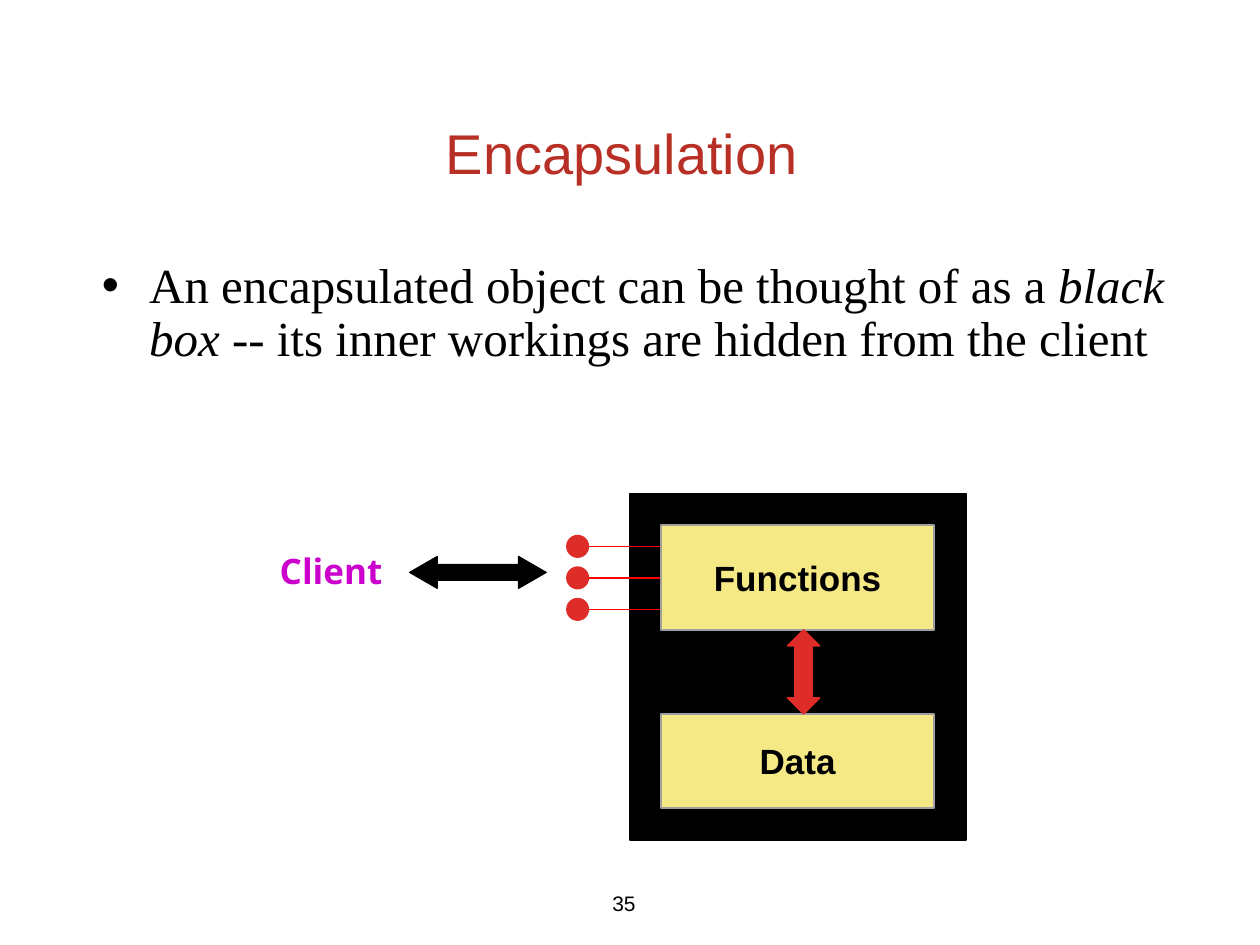
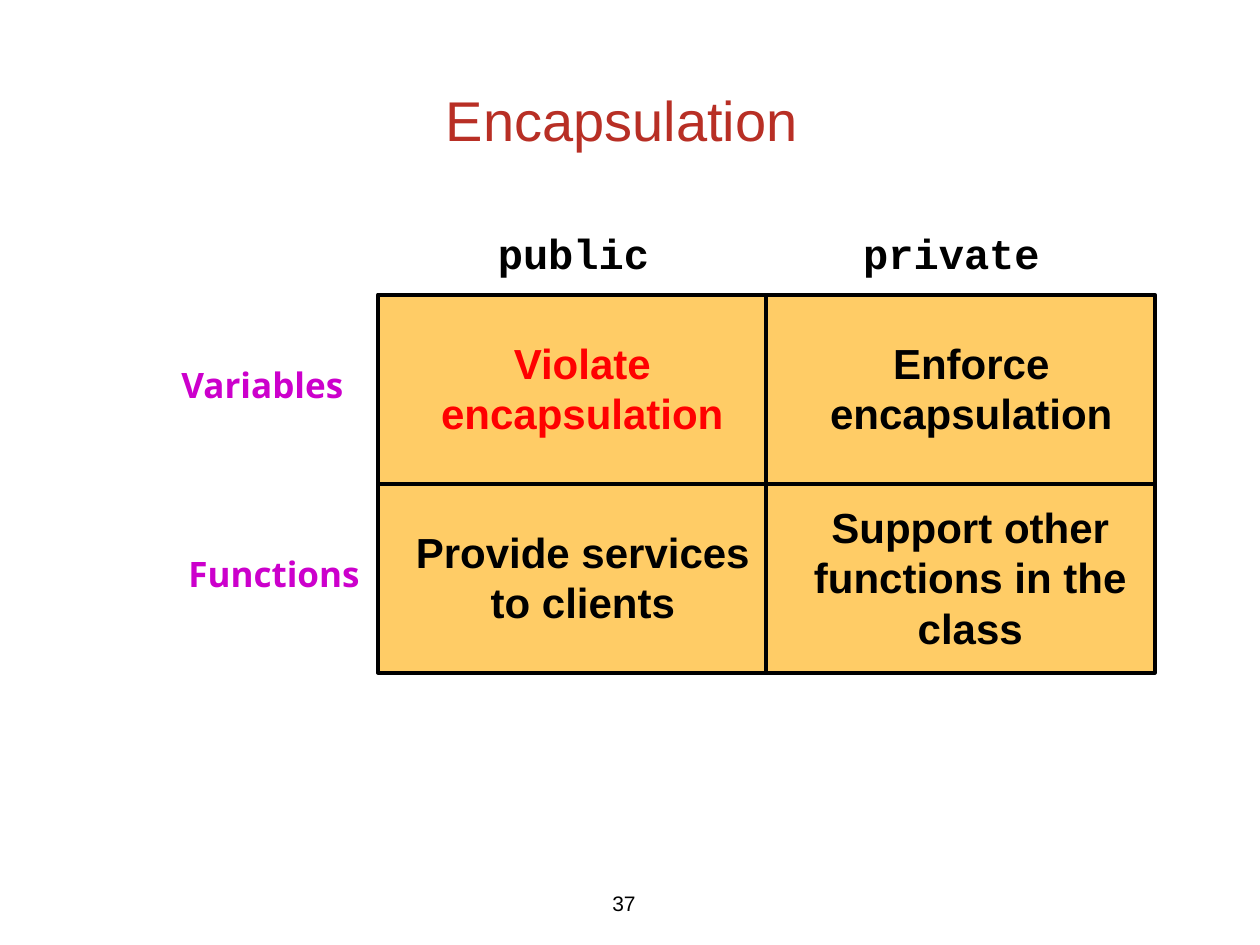
"""Build two slides on encapsulation: a black box diagram and a visibility grid."""
from lxml.etree import SubElement
from pptx import Presentation
from pptx.dml.color import RGBColor
from pptx.enum.shapes import MSO_CONNECTOR, MSO_SHAPE
from pptx.enum.text import MSO_ANCHOR, MSO_AUTO_SIZE, PP_ALIGN
from pptx.oxml.ns import qn
from pptx.util import Cm, Pt

COLORS = {
    "title": "B82F25", "black": "000000", "red": "FF0000", "signal": "DE2C28",
    "block": "F5E985", "block edge": "9F9F9F", "label": "CC00CC", "cell": "FFCC66",
}

STYLES = {
    "title": {"name": "Arial", "size": Pt(32), "color": "title"},
    "number": {"name": "Arial", "size": Pt(12), "color": "black"},
    "body": {"name": "Times New Roman", "size": Pt(28), "color": "black"},
    "label": {"name": "Open Sans", "size": Pt(20), "bold": True, "color": "label"},
    "block": {"name": "Arial", "size": Pt(20), "bold": True, "color": "black"},
    "header": {"name": "Courier New", "size": Pt(24), "bold": True, "color": "black"},
    "cell": {"name": "Arial", "size": Pt(24), "bold": True, "color": "black"},
    "warning": {"name": "Arial", "size": Pt(24), "bold": True, "color": "red"},
}

TITLE = "Encapsulation "
STATEMENT = [
    ("An encapsulated object can be thought of as a ", False),
    ("black box", True),
    (" -- its inner workings are hidden from the client", False),
]
STATEMENT_PLACE = (1.8, 5.13, 23.06, 4.75)

BLACK_BOX = (12.7, 9.95, 6.77, 6.99)
BLOCKS = [("Functions", (13.33, 10.58, 5.5, 2.12)), ("Data", (13.33, 14.39, 5.5, 1.9))]
CLIENT = ("Client", (5.28, 10.95, 2.79, 1.12))
ARROWS = [
    (MSO_SHAPE.UP_DOWN_ARROW, (15.88, 12.7, 0.64, 1.69), 0.533, "signal", 1),
    (MSO_SHAPE.LEFT_RIGHT_ARROW, (8.26, 11.22, 2.75, 0.64), 0.867, "black", 0.75),
]
PORT_COUNT, PORT_X, PORT_Y, PORT_STEP, PORT_SIZE = 3, 11.43, 10.8, 0.635, 0.43

GRID_X, GRID_Y, CELL_WIDTH, CELL_HEIGHT = 7.62, 5.94, 7.83, 3.81
HEADERS = [("public", (9.78, 4.47, 3.56, 1.27)), ("private", (17.15, 4.47, 4.06, 1.27))]
ROW_LABELS = [("Variables", (3.18, 7.21, 4.22, 1.12)), ("Functions", (3.33, 11.02, 4.39, 1.12))]
CELLS = [
    [("Violate\nencapsulation", (8.64, 6.68, 6.2, 2.29), "warning"),
     ("Enforce\nencapsulation", (16.48, 6.68, 6.2, 2.29), "cell")],
    [("Provide services\nto clients", (8.13, 10.49, 7.24, 2.29), "cell"),
     ("Support other\nfunctions in the\nclass", (16.13, 9.98, 6.86, 3.33), "cell")],
]


def rgb(color):
    return RGBColor.from_string(COLORS[color])


def lengths(place):
    return [Cm(value) for value in place]


def set_attributes(target, values):
    for name, value in values.items():
        setattr(target, name, value)


def move(shape, place):
    set_attributes(shape, dict(zip(("left", "top", "width", "height"), lengths(place))))


def style_run(run, style):
    for name, value in STYLES[style].items():
        if name == "color":
            run.font.color.rgb = rgb(value)
        else:
            setattr(run.font, name, value)


def write_text(shape, text, style, anchor=MSO_ANCHOR.MIDDLE, wrap=False):
    frame = shape.text_frame
    frame.text = text
    set_attributes(frame, {"word_wrap": wrap, "vertical_anchor": anchor,
                           "auto_size": MSO_AUTO_SIZE.NONE})
    for paragraph in frame.paragraphs:
        paragraph.alignment = PP_ALIGN.CENTER
        for run in paragraph.runs:
            style_run(run, style)


def add_text(slide, text, place, style, anchor=MSO_ANCHOR.MIDDLE):
    write_text(slide.shapes.add_textbox(*lengths(place)), text, style, anchor)


def add_shape(slide, kind, place, fill, edge, width=1):
    shape = slide.shapes.add_shape(kind, *lengths(place))
    shape.shadow.inherit = False
    shape.fill.solid()
    shape.fill.fore_color.rgb = rgb(fill)
    shape.line.color.rgb = rgb(edge)
    shape.line.width = Pt(width)
    return shape


def add_line(slide, start, end, color):
    line = slide.shapes.add_connector(MSO_CONNECTOR.STRAIGHT, *lengths(start + end))
    line.line.color.rgb = rgb(color)
    line.line.width = Pt(1)
    SubElement(line._element.spPr, qn("a:effectLst"))


def add_slide(presentation, layout_index, title_top, number):
    slide = presentation.slides.add_slide(presentation.slide_layouts[layout_index])
    move(slide.shapes.title, (1.9, title_top, 21.59, 1.9))
    write_text(slide.shapes.title, TITLE, "title", wrap=True)
    add_text(slide, number, (11.63, 17.78, 1.9, 0.84), "number")
    return slide


def add_statement(slide):
    body = slide.placeholders[1]
    move(body, STATEMENT_PLACE)
    set_attributes(body.text_frame, {"word_wrap": True, "auto_size": MSO_AUTO_SIZE.NONE})
    paragraph = body.text_frame.paragraphs[0]
    set_attributes(paragraph, {"line_spacing": 0.9, "space_before": Pt(0)})
    for text, italic in STATEMENT:
        run = paragraph.add_run()
        run.text = text
        run.font.italic = italic
        style_run(run, "body")


def build_black_box(presentation):
    slide = add_slide(presentation, 1, 2.11, "35")
    add_statement(slide)
    add_shape(slide, MSO_SHAPE.RECTANGLE, BLACK_BOX, "black", "black")
    for index in range(PORT_COUNT):
        top = PORT_Y + index * PORT_STEP
        middle = top + PORT_SIZE / 2
        add_line(slide, (BLOCKS[0][1][0], middle), (PORT_X + PORT_SIZE / 2, middle), "red")
        add_shape(slide, MSO_SHAPE.OVAL, (PORT_X, top, PORT_SIZE, PORT_SIZE), "signal", "signal")
    for text, place in BLOCKS:
        block = add_shape(slide, MSO_SHAPE.RECTANGLE, place, "block", "block edge")
        write_text(block, text, "block")
    for kind, place, head, color, width in ARROWS:
        arrow = add_shape(slide, kind, place, color, color, width)
        arrow.adjustments[0] = 0.5
        arrow.adjustments[1] = head
    add_text(slide, *CLIENT, "label")


def build_visibility_grid(presentation):
    slide = add_slide(presentation, 5, 1.45, "37")
    for labels, style in ((HEADERS, "header"), (ROW_LABELS, "label")):
        for text, place in labels:
            add_text(slide, text, place, style, MSO_ANCHOR.TOP)
    for row, cells in enumerate(CELLS):
        for column in range(len(cells)):
            place = (GRID_X + column * CELL_WIDTH, GRID_Y + row * CELL_HEIGHT,
                     CELL_WIDTH, CELL_HEIGHT)
            add_shape(slide, MSO_SHAPE.RECTANGLE, place, "cell", "black", 2.25)
    for cells in CELLS:
        for text, place, style in cells:
            add_text(slide, text, place, style, MSO_ANCHOR.TOP)


def main():
    presentation = Presentation()
    set_attributes(presentation, {"slide_width": Cm(25.4), "slide_height": Cm(19.05)})
    build_black_box(presentation)
    build_visibility_grid(presentation)
    presentation.save("out.pptx")


if __name__ == "__main__":
    main()
